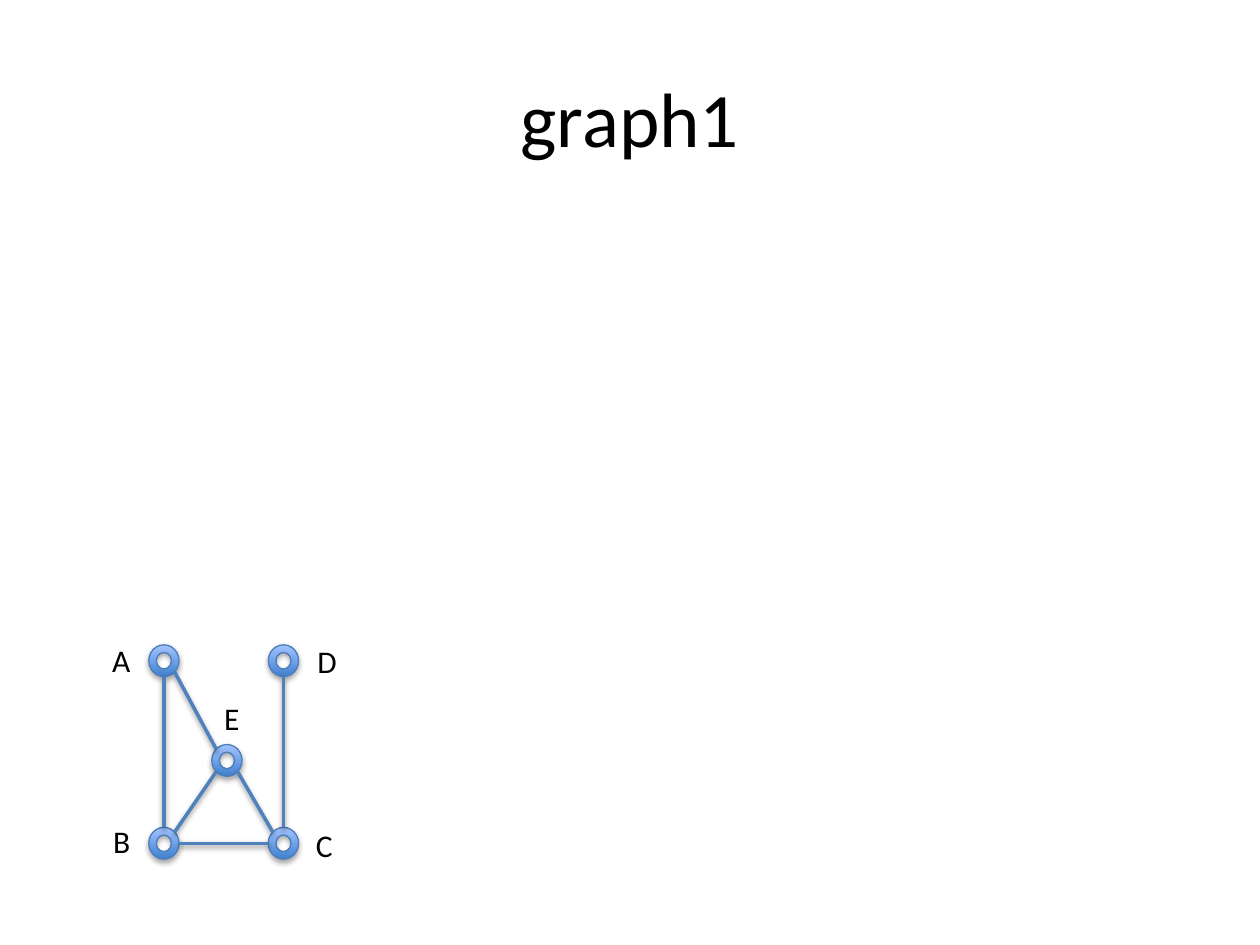
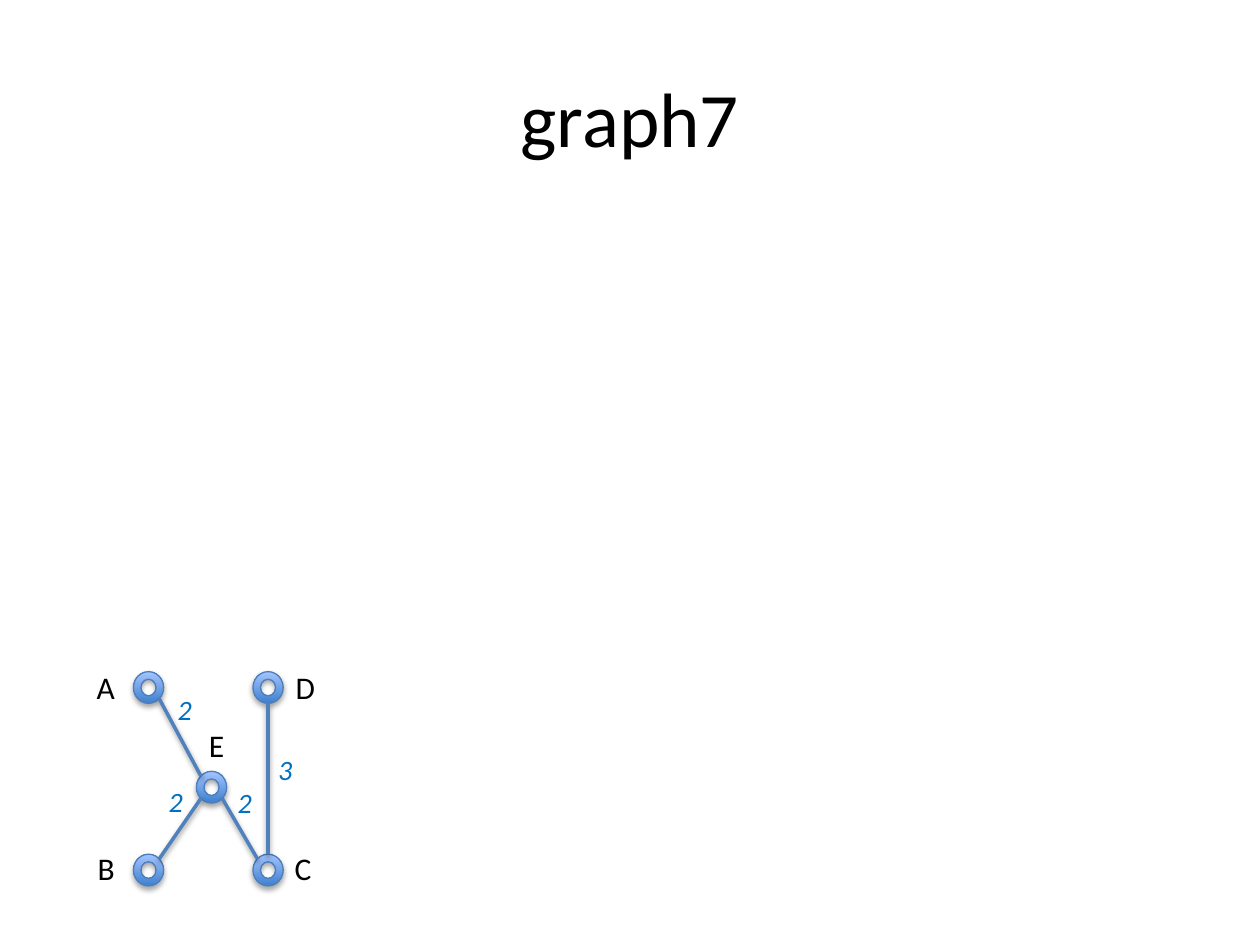
from math import copysign, hypot
from pptx import Presentation
from pptx.dml.color import RGBColor
from pptx.enum.shapes import MSO_CONNECTOR, MSO_SHAPE
from pptx.enum.text import MSO_ANCHOR, PP_ALIGN
from pptx.oxml import parse_xml
from pptx.oxml.ns import nsdecls
from pptx.util import Cm, Pt

BLACK = "000000"
WEIGHT_BLUE = "0070C0"
EDGE_BLUE = "4F81BD"
OUTLINE_BLUE = "4B7EBC"
NODE_GRADIENT = ["3F80CE", "A4C4FF"]
NODE_WIDTH, NODE_HEIGHT = 0.61, 0.64
NODES = {"A": (0, 0), "E": (1.27, 2.01), "D": (2.41, 0), "B": (0, 3.68), "C": (2.41, 3.68)}
LEFT_LABELS = {"A": (-0.99, -0.2), "B": (-0.97, 3.45), "E": (1.27, 0.97)}

GRAPHS = [
    {
        "title": "graph1",
        "origin": (3, 13),
        "edges": ["DC", "EB", "AB", "EC", "AE", "CB"],
        "labels": {**LEFT_LABELS, "D": (3.15, -0.18), "C": (3.12, 3.53)},
        "weights": [],
    },
    {
        "title": "graph7",
        "origin": (2.69, 13.54),
        "edges": ["DC", "EB", "EC", "AE"],
        "labels": {**LEFT_LABELS, "D": (3.02, -0.2), "C": (3, 3.45)},
        "weights": [("2", 0.46, 2.16), ("2", 1.85, 2.18), ("2", 0.64, 0.3), ("3", 2.67, 1.5)],
    },
]


def color(value):
    return RGBColor.from_string(value)


def add_text(slide, text, left, top, width, height, size=18, fill=BLACK, italic=False,
             wrap=False, align=PP_ALIGN.LEFT, anchor=MSO_ANCHOR.TOP):
    box = slide.shapes.add_textbox(Cm(left), Cm(top), Cm(width), Cm(height))
    frame = box.text_frame
    frame.word_wrap = wrap
    frame.vertical_anchor = anchor
    paragraph = frame.paragraphs[0]
    paragraph.alignment = align
    run = paragraph.add_run()
    run.text = text
    run.font.name = "Calibri"
    run.font.size = Pt(size)
    run.font.italic = italic
    run.font.color.rgb = color(fill)


presentation = Presentation()
presentation.slide_width = Cm(25.4)
presentation.slide_height = Cm(19.05)

for graph in GRAPHS:
    slide = presentation.slides.add_slide(presentation.slide_layouts[6])
    left, top = graph["origin"]
    shadowed = []

    for x, y in NODES.values():
        node = slide.shapes.add_shape(
            MSO_SHAPE.DONUT, Cm(left + x), Cm(top + y), Cm(NODE_WIDTH), Cm(NODE_HEIGHT))
        node.fill.gradient()
        node.fill.gradient_angle = 90
        for stop, position, value in zip(node.fill.gradient_stops, (0, 1), NODE_GRADIENT):
            stop.position = position
            stop.color.rgb = color(value)
        node.line.color.rgb = color(OUTLINE_BLUE)
        node.line.width = Pt(0.75)
        node.shadow.inherit = False
        shadowed.append((node, 35, 1.8))

    for start, end in graph["edges"]:
        (x1, y1), (x2, y2) = NODES[start], NODES[end]
        across = copysign(1, x2 - x1) if x2 != x1 else 0
        down = copysign(1, y2 - y1) if y2 != y1 else 0
        reach_x = across / hypot(across, down) * NODE_WIDTH / 2
        reach_y = down / hypot(across, down) * NODE_HEIGHT / 2
        center_x, center_y = left + NODE_WIDTH / 2, top + NODE_HEIGHT / 2
        edge = slide.shapes.add_connector(
            MSO_CONNECTOR.STRAIGHT,
            Cm(center_x + x1 + reach_x), Cm(center_y + y1 + reach_y),
            Cm(center_x + x2 - reach_x), Cm(center_y + y2 - reach_y))
        edge.line.color.rgb = color(EDGE_BLUE)
        edge.line.width = Pt(2)
        shadowed.append((edge, 38, 1.6))

    for shape, opacity, distance in shadowed:
        properties = shape._element.spPr
        for effects in properties.findall("{*}effectLst"):
            properties.remove(effects)
        properties.append(parse_xml(
            f'<a:effectLst {nsdecls("a")}><a:outerShdw blurRad="{Pt(3.1)}" '
            f'dist="{Pt(distance)}" dir="5400000" rotWithShape="0">'
            f'<a:srgbClr val="{BLACK}"><a:alpha val="{opacity * 1000}"/></a:srgbClr>'
            '</a:outerShdw></a:effectLst>'))

    for name, (x, y) in graph["labels"].items():
        add_text(slide, name, left + x, top + y, 0.88, 1.02)
    for weight, x, y in graph["weights"]:
        add_text(slide, weight, left + x, top + y, 0.81, 0.94,
                 size=16, fill=WEIGHT_BLUE, italic=True)
    add_text(slide, graph["title"], 1.27, 0.76, 22.86, 3.18, size=44, wrap=True,
             align=PP_ALIGN.CENTER, anchor=MSO_ANCHOR.MIDDLE)

presentation.save("out.pptx")
